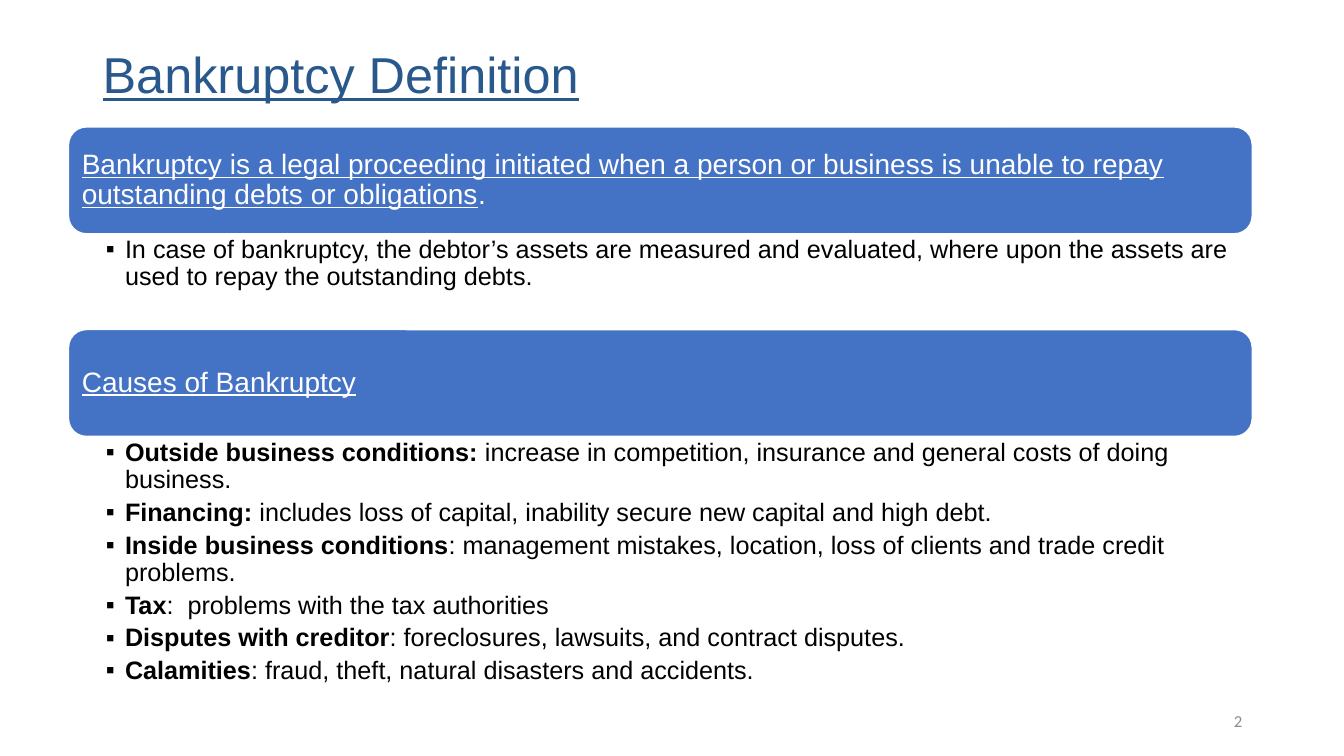
from lxml import etree
from pptx import Presentation
from pptx.dml.color import RGBColor
from pptx.enum.shapes import MSO_SHAPE as Shape
from pptx.enum.text import MSO_ANCHOR as Anchor, PP_ALIGN as Align
from pptx.oxml.ns import qn
from pptx.util import Inches, Pt

NAVY = RGBColor(0x29, 0x58, 0x8C)
BLUE = RGBColor(0x44, 0x72, 0xC4)
WHITE = RGBColor(0xFF, 0xFF, 0xFF)
BLACK = RGBColor(0, 0, 0)
GRAY = RGBColor(0x8C, 0x8C, 0x8C)

LEFT, WIDTH = 0.68, 11.74
BANNER_HEIGHT = 1.06
SECTIONS = [
    (
        1.26, 0.94,
        [("Bankruptcy is a legal proceeding initiated when a person or business "
          "is unable to repay outstanding debts or obligations", {"underline": True}),
         (".", {})],
        [("", "In case of bankruptcy, the debtor’s assets are measured and evaluated, "
              "where upon the assets are used to repay the outstanding debts.")],
    ),
    (
        3.27, 2.41,
        [("Causes of Bankruptcy", {"underline": True})],
        [("Outside business conditions: ",
          "increase in competition, insurance and general costs of doing business."),
         ("Financing: ",
          "includes loss of capital, inability secure new capital and high debt."),
         ("Inside business conditions",
          ": management mistakes, location, loss of clients and trade credit problems."),
         ("Tax", ":  problems with the tax authorities"),
         ("Disputes with creditor", ": foreclosures, lawsuits, and contract disputes."),
         ("Calamities", ": fraud, theft, natural disasters and accidents.")],
    ),
]


def add_run(paragraph, text, size=18, color=BLACK, font="Arial", bold=False, underline=False):
    run = paragraph.add_run()
    run.text = text
    run.font.name = font
    run.font.size = Pt(size)
    run.font.color.rgb = color
    run.font.bold = bold
    run.font.underline = underline


def set_frame(shape, anchor=Anchor.MIDDLE, insets=(0.1, 0.05, 0.1, 0.05)):
    frame = shape.text_frame
    frame.word_wrap = True
    frame.vertical_anchor = anchor
    (frame.margin_left, frame.margin_top,
     frame.margin_right, frame.margin_bottom) = map(Inches, insets)
    return frame


def add_text_box(slide, box, **frame_format):
    return set_frame(slide.shapes.add_textbox(*map(Inches, box)), **frame_format)


def set_bullet(paragraph):
    properties = paragraph._p.get_or_add_pPr()
    properties.set("marL", str(Inches(0.19)))
    properties.set("indent", str(-Inches(0.19)))
    etree.SubElement(properties, qn("a:buFont")).set("typeface", "Arial")
    etree.SubElement(properties, qn("a:buChar")).set("char", "▪")


def add_title(slide, box):
    paragraph = add_text_box(slide, box).paragraphs[0]
    paragraph.line_spacing = 0.9
    add_run(paragraph, "Bankruptcy Definition", size=36, color=NAVY, underline=True)


def add_banner(slide, box, heading):
    banner = slide.shapes.add_shape(Shape.ROUNDED_RECTANGLE, *map(Inches, box))
    banner.shadow.inherit = False
    banner.fill.solid()
    banner.fill.fore_color.rgb = BLUE
    banner.line.color.rgb = WHITE
    banner.line.width = Pt(1)
    paragraph = set_frame(banner, insets=(0.08,) * 4).paragraphs[0]
    paragraph.alignment = Align.LEFT
    paragraph.line_spacing = 0.9
    for text, text_format in heading:
        add_run(paragraph, text, size=20, color=WHITE, **text_format)


def add_bullets(slide, box, items):
    frame = add_text_box(slide, box, anchor=Anchor.TOP, insets=(0.37, 0.03, 0.14, 0.03))
    for index, (term, detail) in enumerate(items):
        paragraph = frame.add_paragraph() if index else frame.paragraphs[0]
        set_bullet(paragraph)
        paragraph.line_spacing = 0.9
        paragraph.space_after = Pt(4)
        if term:
            add_run(paragraph, term, bold=True)
        add_run(paragraph, detail)


def add_section(slide, box, heading, items):
    left, top, width, height = box
    add_banner(slide, (left, top, width, BANNER_HEIGHT), heading)
    add_bullets(slide, (left, top + BANNER_HEIGHT, width, height - BANNER_HEIGHT), items)


def add_page_number(slide, box):
    paragraph = add_text_box(slide, box).paragraphs[0]
    paragraph.alignment = Align.RIGHT
    add_run(paragraph, "2", size=12, color=GRAY, font="Calibri")


def main():
    presentation = Presentation()
    presentation.slide_width = Inches(13.33)
    presentation.slide_height = Inches(7.5)
    slide = presentation.slides.add_slide(presentation.slide_layouts[6])
    add_title(slide, (0.92, 0.4, 10.86, 0.74))
    for top, list_height, heading, items in SECTIONS:
        add_section(slide, (LEFT, top, WIDTH, BANNER_HEIGHT + list_height), heading, items)
    add_page_number(slide, (9.42, 6.95, 3, 0.4))
    presentation.save("out.pptx")


if __name__ == "__main__":
    main()
